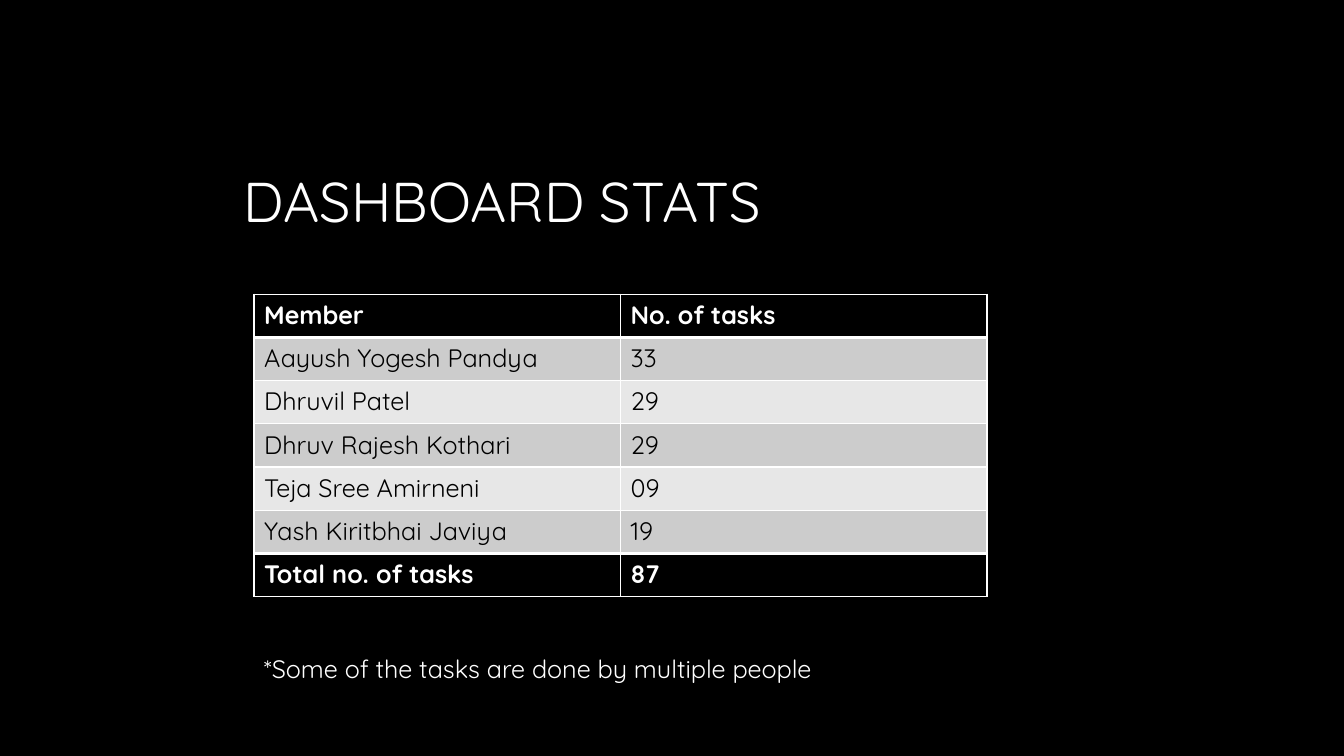
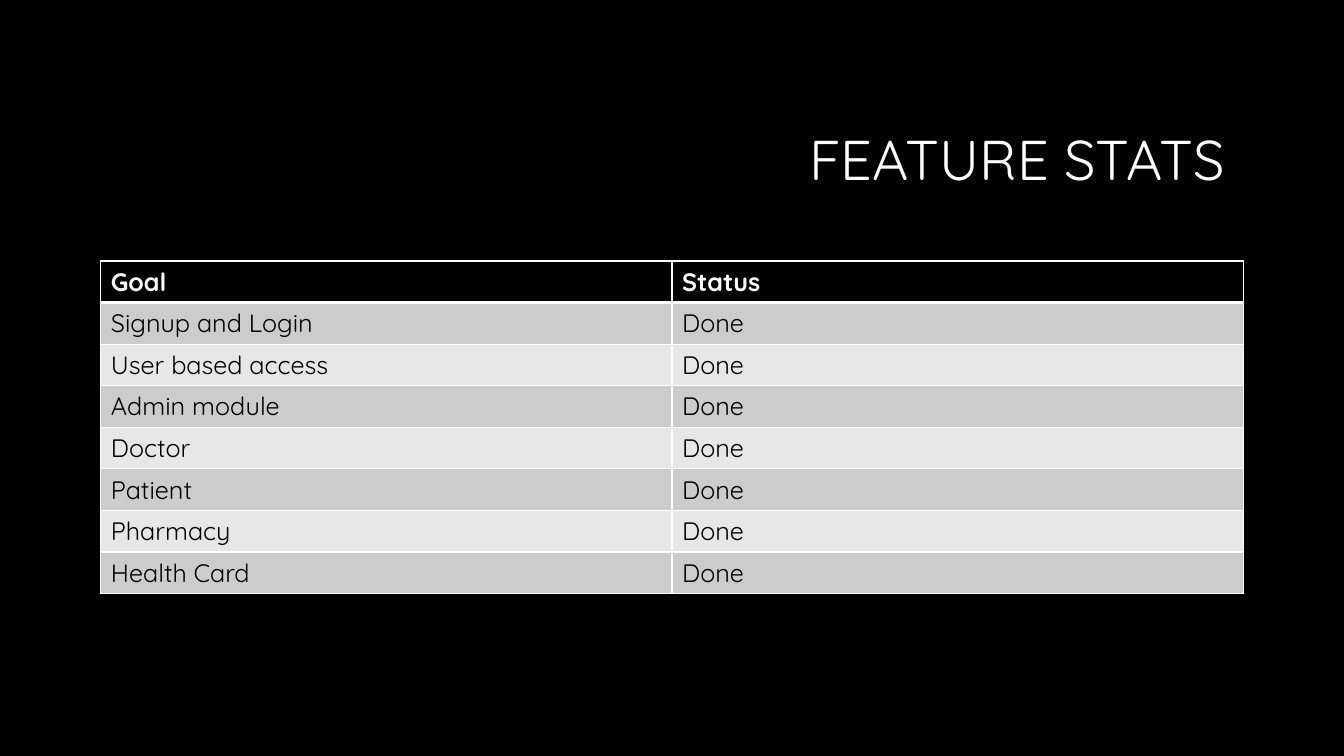
from dataclasses import dataclass

from lxml import etree
from pptx import Presentation
from pptx.dml.color import RGBColor
from pptx.enum.text import MSO_ANCHOR, PP_ALIGN
from pptx.oxml.ns import qn
from pptx.util import Inches, Pt

LEFT, RIGHT = PP_ALIGN.LEFT, PP_ALIGN.RIGHT
TOP, MIDDLE = MSO_ANCHOR.TOP, MSO_ANCHOR.MIDDLE
BLANK_LAYOUT = 6


@dataclass(frozen=True)
class Theme:
    """Colours, font and sizes shared by the slides."""

    font: str = "Quicksand"
    dark: str = "000000"
    light: str = "FFFFFF"
    bands: tuple = ("CCCCCC", "E7E7E7")
    title_size: int = 40
    body_size: int = 18
    thin: int = 1
    thick: int = 3


THEME = Theme()

MEMBER_TASKS = [
    ("Member", "No. of tasks"),
    ("Aayush Yogesh Pandya", "33"),
    ("Dhruvil Patel", "29"),
    ("Dhruv Rajesh Kothari", "29"),
    ("Teja Sree Amirneni", "09"),
    ("Yash Kiritbhai Javiya", "19"),
    ("Total no. of tasks", "87"),
]
FEATURES = [
    "Signup and Login",
    "User based access",
    "Admin module",
    "Doctor",
    "Patient",
    "Pharmacy",
    "Health Card",
]
FEATURE_STATUS = [("Goal", "Status")] + [(feature, "Done") for feature in FEATURES]


def write_text(frame, text, size=THEME.body_size, color=THEME.light,
               bold=False, align=LEFT, spacing=1.0):
    """Write one formatted paragraph into a text frame."""
    para = frame.paragraphs[0]
    para.alignment = align
    para.line_spacing = spacing
    span = para.add_run()
    span.text = text
    span.font.name = THEME.font
    span.font.size = Pt(size)
    span.font.bold = bold
    span.font.color.rgb = RGBColor.from_string(color)


def add_text(page, text, left, top, width, height, anchor=TOP, **text_format):
    """Add a wrapping text box."""
    box = page.shapes.add_textbox(Inches(left), Inches(top), Inches(width), Inches(height))
    box.text_frame.word_wrap = True
    box.text_frame.vertical_anchor = anchor
    write_text(box.text_frame, text, **text_format)


def add_title(page, text, left, top, width, height, align=LEFT):
    """Add a slide title."""
    add_text(page, text, left, top, width, height, anchor=MIDDLE,
             size=THEME.title_size, align=align, spacing=0.9)


def set_borders(cell, top, bottom):
    """Draw the four borders of a cell, with given top and bottom weights."""
    properties = cell._tc.get_or_add_tcPr()
    weights = {"lnL": THEME.thin, "lnR": THEME.thin, "lnT": top, "lnB": bottom}
    for side, weight in weights.items():
        line = etree.SubElement(properties, qn(f"a:{side}"), w=str(Pt(weight)))
        fill = etree.SubElement(line, qn("a:solidFill"))
        etree.SubElement(fill, qn("a:srgbClr"), val=THEME.light)


def add_table(page, rows, left, top, width, height, has_total=False):
    """Add a banded table with a dark header and an optional dark total row."""
    row_count, column_count = len(rows), len(rows[0])
    frame = page.shapes.add_table(row_count, column_count, Inches(left), Inches(top),
                                  Inches(width), Inches(height))
    table = frame.table
    table.horz_banding = False
    table.last_row = has_total
    dark_rows = {0, row_count - 1} if has_total else {0}
    thick_edges = {1, row_count - 1} if has_total else {1}
    edges = [THEME.thick if edge in thick_edges else THEME.thin
             for edge in range(row_count + 1)]
    for row_index, row in enumerate(rows):
        is_dark = row_index in dark_rows
        band = THEME.bands[(row_index - 1) % len(THEME.bands)]
        for column_index, text in enumerate(row):
            cell = table.cell(row_index, column_index)
            set_borders(cell, edges[row_index], edges[row_index + 1])
            cell.fill.solid()
            cell.fill.fore_color.rgb = RGBColor.from_string(THEME.dark if is_dark else band)
            write_text(cell.text_frame, text, bold=is_dark,
                       color=THEME.light if is_dark else THEME.dark)


def add_page(deck):
    """Add a blank slide with the dark background."""
    page = deck.slides.add_slide(deck.slide_layouts[BLANK_LAYOUT])
    page.background.fill.solid()
    page.background.fill.fore_color.rgb = RGBColor.from_string(THEME.dark)
    return page


def add_dashboard_page(deck):
    """Build the slide with tasks per member."""
    page = add_page(deck)
    add_title(page, "DASHBOARD STATS", 2.32, 1.43, 7.27, 1.2)
    add_table(page, MEMBER_TASKS, 2.52, 2.92, 7.27, 3, has_total=True)
    add_text(page, "*Some of the tasks are done by multiple people", 2.52, 6.43, 8, 0.4)


def add_feature_page(deck):
    """Build the slide with the status of each feature."""
    page = add_page(deck)
    add_title(page, "FEATURE STATS", 3.17, 0.84, 9.08, 1.55, align=RIGHT)
    add_table(page, FEATURE_STATUS, 1, 2.59, 11.33, 3.3)


def main():
    """Build and save the deck."""
    deck = Presentation()
    deck.slide_width, deck.slide_height = Inches(13.33), Inches(7.5)
    add_dashboard_page(deck)
    add_feature_page(deck)
    deck.save("out.pptx")


if __name__ == "__main__":
    main()
